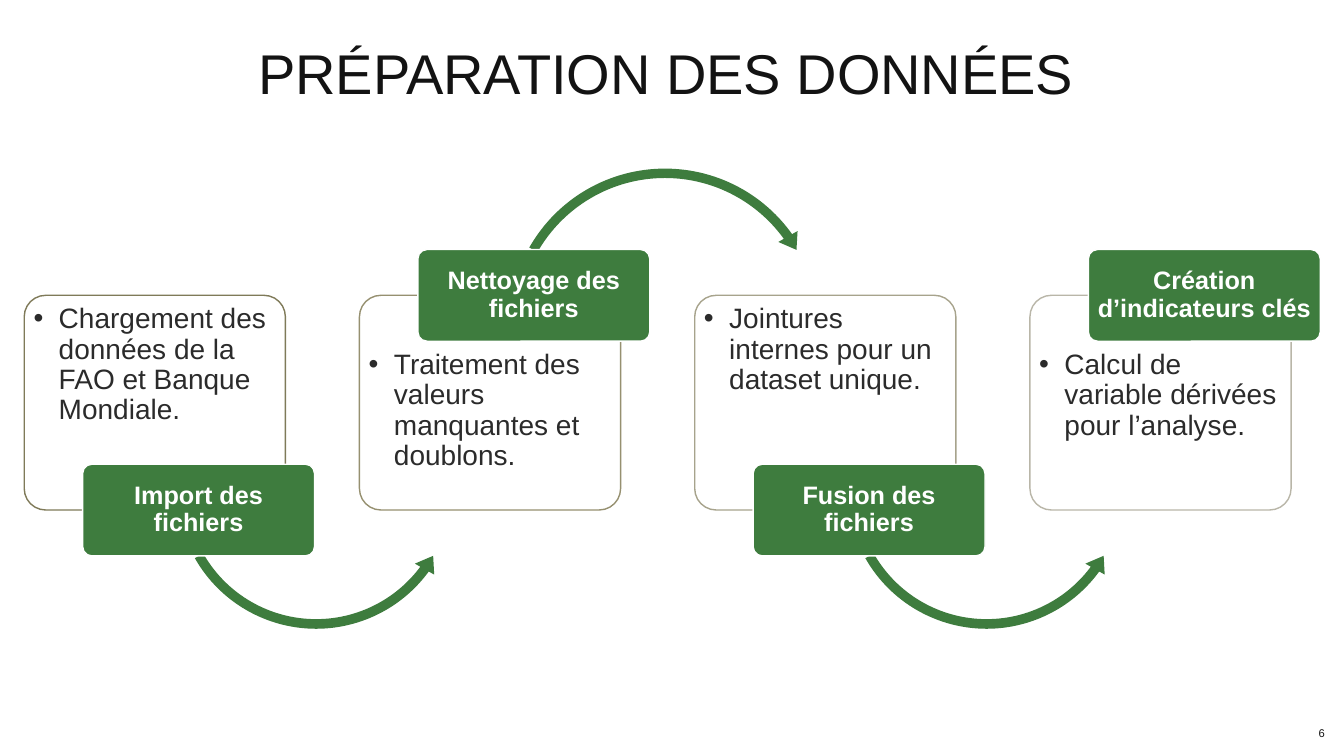
"""Build the data preparation slide: four steps linked by curved arrows."""
from dataclasses import dataclass

from lxml.etree import SubElement
from pptx import Presentation
from pptx.dml.color import RGBColor as Rgb
from pptx.enum.shapes import MSO_SHAPE as Shape
from pptx.enum.text import MSO_ANCHOR as Anchor, MSO_AUTO_SIZE as AutoSize, PP_ALIGN as Align
from pptx.oxml.ns import qn
from pptx.util import Inches, Pt


@dataclass(frozen=True)
class Theme:
    """Colours, font and type sizes of the slide."""
    font: str = "Arial"
    ink: str = "131313"
    body: str = "2B2B2B"
    green: str = "3E7C3E"
    white: str = "FFFFFF"
    title_size: int = 40
    body_size: int = 20
    label_size: int = 18
    number_size: int = 8


THEME = Theme()
SLIDE_W, SLIDE_H = 13.33, 7.5
FIRST_LEFT, PITCH = 0.24, 3.325
CARD_TOP, CARD_W, CARD_H = 2.93, 2.59, 2.13
LABEL_W, LABEL_H, LABEL_SHIFT = 2.3, 0.91, 0.58
CORNER = 0.1

STEPS = [
    ("Import des fichiers", "Chargement des données de la FAO et Banque Mondiale.", "7F7A59"),
    ("Nettoyage des fichiers", "Traitement des valeurs manquantes et doublons.", "969070"),
    ("Fusion des fichiers", "Jointures internes pour un dataset unique.", "A7A38C"),
    ("Création d’indicateurs clés", "Calcul de variable dérivées pour l’analyse.", "B9B6A8"),
]


def box(left, top, width, height):
    """Convert a frame in inches to slide units."""
    return [Inches(value) for value in (left, top, width, height)]


def write(frame, text, size, color, align, anchor, insets=(0.1, 0.05, 0.1, 0.05), bold=False):
    """Write one formatted paragraph in a text frame and return it."""
    frame.word_wrap = True
    frame.auto_size = AutoSize.NONE
    frame.vertical_anchor = anchor
    (frame.margin_left, frame.margin_top,
     frame.margin_right, frame.margin_bottom) = box(*insets)
    paragraph = frame.paragraphs[0]
    paragraph.alignment = align
    paragraph.line_spacing = 0.9
    run = paragraph.add_run()
    run.text = text
    run.font.name = THEME.font
    run.font.size = Pt(size)
    run.font.bold = bold
    run.font.color.rgb = Rgb.from_string(color)
    return paragraph


def add_bullet(paragraph, indent=0.25):
    """Give a paragraph a round bullet with a hanging indent."""
    properties = paragraph._p.get_or_add_pPr()
    properties.set("marL", str(Inches(indent)))
    properties.set("indent", str(-Inches(indent)))
    SubElement(properties, qn("a:buFont")).set("typeface", THEME.font)
    SubElement(properties, qn("a:buChar")).set("char", "•")


def add_figure(slide, kind, frame, adjustments, fill, line=None):
    """Add a filled preset shape, outlined only when a line colour is given."""
    figure = slide.shapes.add_shape(kind, *box(*frame))
    figure.shadow.inherit = False
    for index, value in enumerate(adjustments):
        figure.adjustments[index] = value
    figure.fill.solid()
    figure.fill.fore_color.rgb = Rgb.from_string(fill)
    if line:
        figure.line.color.rgb = Rgb.from_string(line)
        figure.line.width = Pt(1)
    else:
        figure.line.fill.background()
    return figure


def add_card(slide, left, description, outline, label_above):
    """Add the outlined card that describes a step."""
    card = add_figure(slide, Shape.ROUNDED_RECTANGLE, (left, CARD_TOP, CARD_W, CARD_H),
                      [CORNER], THEME.white, outline)
    top_inset = LABEL_H / 2 + 0.03 if label_above else 0.03
    add_bullet(write(card.text_frame, description, THEME.body_size, THEME.body, Align.LEFT,
                     Anchor.TOP, (0.03, top_inset, 0.03, 0.03)))


def add_label(slide, left, name, label_above):
    """Add the green label centred on the top or bottom edge of a card."""
    edge = CARD_TOP if label_above else CARD_TOP + CARD_H
    frame = (left + LABEL_SHIFT, edge - LABEL_H / 2, LABEL_W, LABEL_H)
    label = add_figure(slide, Shape.ROUNDED_RECTANGLE, frame, [CORNER], THEME.green, THEME.white)
    write(label.text_frame, name, THEME.label_size, THEME.white, Align.CENTER,
          Anchor.MIDDLE, (0.03, 0.03, 0.03, 0.03), bold=True)


def add_arrow(slide, left, label_above):
    """Add the curved arrow leading from a label to the next step."""
    if label_above:
        add_figure(slide, Shape.CIRCULAR_ARROW, (left + 1.42, 1.61, 3.22, 3.22),
                   [0.029, 3.603, 194.642, 125.755, 0.034], THEME.green)
    else:
        add_figure(slide, Shape.LEFT_CIRCULAR_ARROW, (left + 1.45, 3.41, 2.89, 2.89),
                   [0.033, 4.048, 21.803, 90.245, 0.038], THEME.green)


def add_title(slide, text):
    """Place and write the slide title."""
    title = slide.shapes.title
    title.left, title.top, title.width, title.height = box(0.47, 0.41, 12.27, 0.84)
    write(title.text_frame, text, THEME.title_size, THEME.ink, Align.CENTER, Anchor.TOP)


def add_page_number(slide, number):
    """Write the page number in the bottom right corner."""
    corner = slide.shapes.add_textbox(*box(12.74, 7.1, 0.5, 0.37))
    write(corner.text_frame, number, THEME.number_size, THEME.ink, Align.RIGHT, Anchor.MIDDLE)


def main():
    """Build and save the slide."""
    deck = Presentation()
    deck.slide_width, deck.slide_height = Inches(SLIDE_W), Inches(SLIDE_H)
    slide = deck.slides.add_slide(deck.slide_layouts[5])
    add_title(slide, "PRÉPARATION DES DONNÉES")
    add_page_number(slide, "6")
    for index, (name, description, outline) in enumerate(STEPS):
        left = FIRST_LEFT + index * PITCH
        label_above = index % 2 == 1
        add_card(slide, left, description, outline, label_above)
        if index < len(STEPS) - 1:
            add_arrow(slide, left, label_above)
        add_label(slide, left, name, label_above)
    deck.save("out.pptx")


if __name__ == "__main__":
    main()
